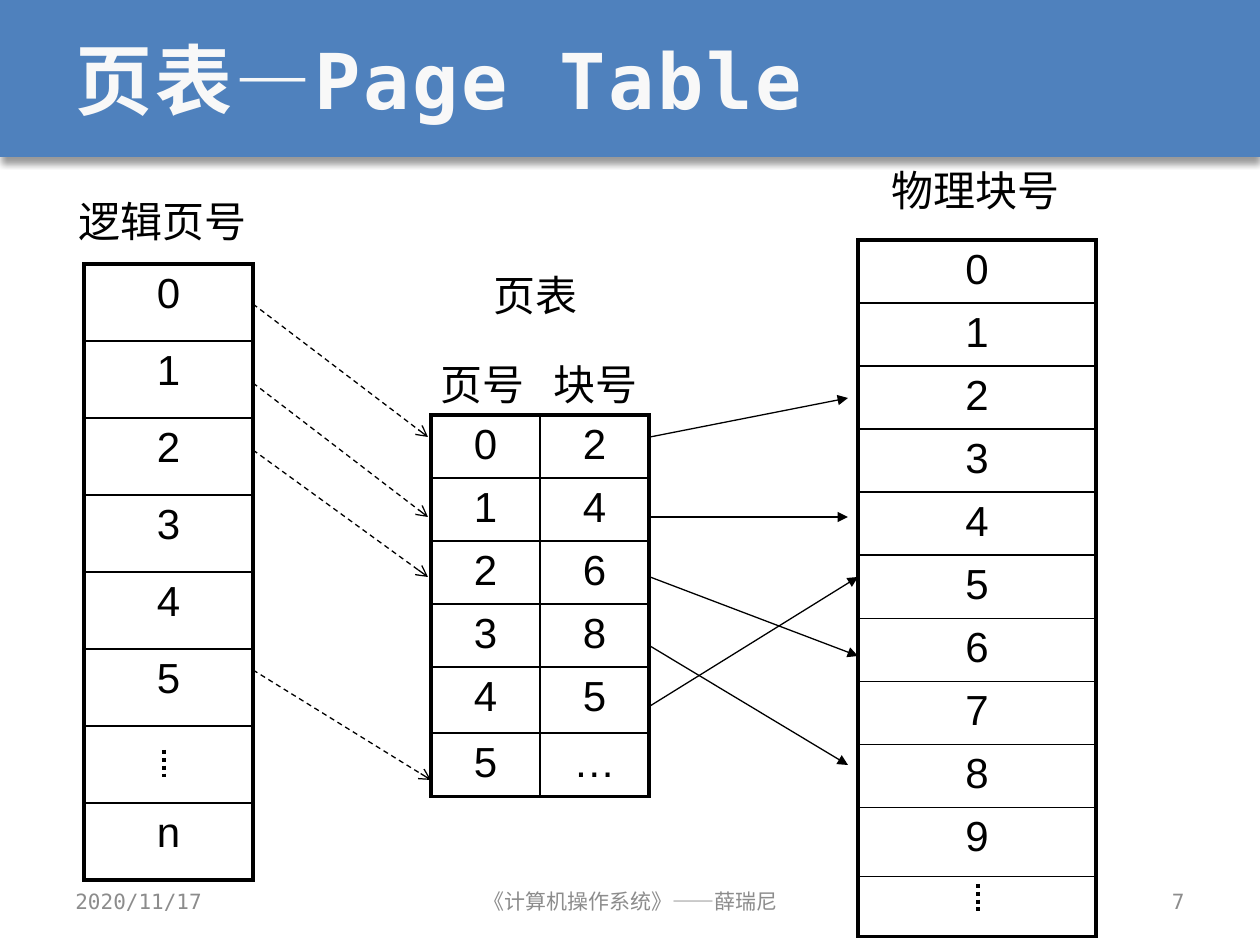
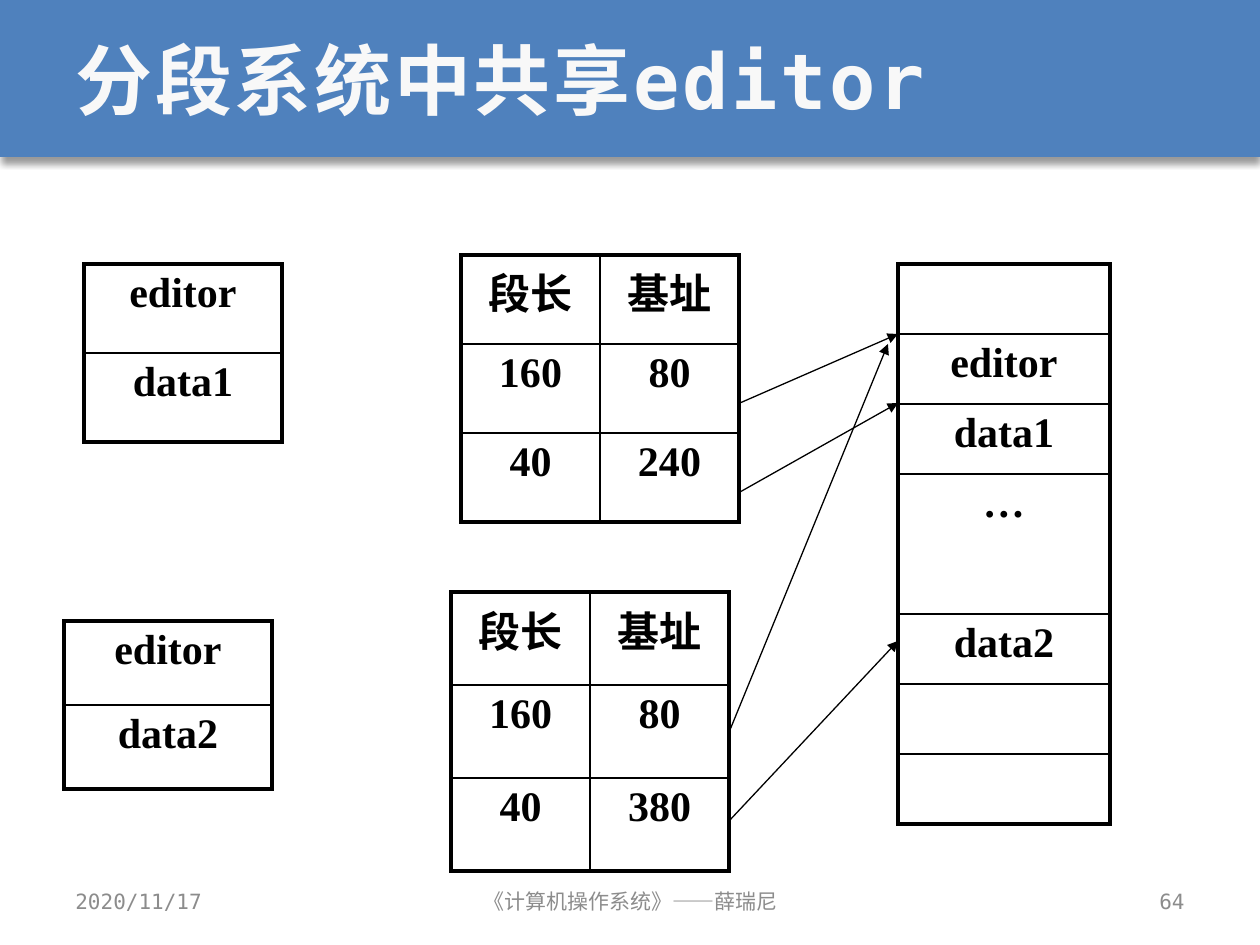
from pptx import Presentation, util as u
from pptx.dml.color import RGBColor
from pptx.enum import dml, shapes, text
from pptx.oxml import ns, xmlchemy

PX = 914400 / 126  # EMU per pixel
BLUE = RGBColor(0x4F, 0x81, 0xBD)
OFF_WHITE = RGBColor(0xF8, 0xF8, 0xF8)
GREY = RGBColor(0x8C, 0x8C, 0x8C)
BLACK = RGBColor(0, 0, 0)
MONO, CJK, SANS, SERIF = "DejaVu Sans Mono", "Noto Sans CJK SC", "Arial", "Times New Roman"
LEFT, CENTER, RIGHT = text.PP_ALIGN.LEFT, text.PP_ALIGN.CENTER, text.PP_ALIGN.RIGHT
THICK, THIN = 2.25, 1


def px(*lengths):
    return [round(length * PX) for length in lengths]


def add_xml(parent, tag, **attributes):
    child = xmlchemy.OxmlElement(tag)
    for name, value in attributes.items():
        child.set(name, str(value))
    parent.append(child)
    return child


class Deck:
    def __init__(self):
        self.prs = Presentation()
        self.prs.slide_width, self.prs.slide_height = px(1260, 945)

    def start_slide(self, title, number):
        self.slide = self.prs.slides.add_slide(self.prs.slide_layouts[5])
        self.shapes = self.slide.shapes
        self.band()
        heading = self.shapes.title
        heading.left, heading.top, heading.width, heading.height = px(63, 0, 1134, 157)
        heading.text_frame.vertical_anchor = text.MSO_ANCHOR.MIDDLE
        self.set_text(heading.text_frame, title, 44, MONO, OFF_WHITE, LEFT, True, spacing=150)
        self.footer(63, 294, "2020/11/17", LEFT)
        self.footer(431, 399, "《计算机操作系统》——薛瑞尼", CENTER)
        self.footer(903, 294, str(number), RIGHT)

    def band(self):
        """Blue title band with a soft shadow, placed behind the title."""
        band = self.shapes.add_shape(shapes.MSO_SHAPE.RECTANGLE, *px(0, 0, 1260, 157))
        band.fill.solid()
        band.fill.fore_color.rgb = BLUE
        band.line.fill.background()
        band.shadow.inherit = False
        effects = band._element.spPr.find(ns.qn("a:effectLst"))
        shadow = add_xml(effects, "a:outerShdw", blurRad=u.Pt(4), dist=u.Pt(3),
                         dir=5400000, rotWithShape=0)
        add_xml(add_xml(shadow, "a:srgbClr", val="000000"), "a:alpha", val=40000)
        band._element.getparent().insert(2, band._element)

    def set_text(self, frame, words, size, face, color, align, bold=False, spacing=0):
        frame.text = words
        paragraph = frame.paragraphs[0]
        paragraph.alignment = align
        font = paragraph.font
        font.size, font.name, font.bold = u.Pt(size), face, bold
        font.color.rgb = color
        add_xml(font._element, "a:ea", typeface=CJK)
        if spacing:
            font._element.set("spc", str(spacing))

    def footer(self, left, width, words, align):
        frame = self.shapes.add_textbox(*px(left, 876, width, 50)).text_frame
        frame.word_wrap = True
        frame.vertical_anchor = text.MSO_ANCHOR.MIDDLE
        self.set_text(frame, words, 12, MONO, GREY, align)

    def label(self, left, top, width, words):
        frame = self.shapes.add_textbox(*px(left, top, width, 63)).text_frame
        frame.word_wrap = False
        self.set_text(frame, words, 24, CJK, BLACK, LEFT)

    def grid(self, left, top, col_width, heights, rows, face=SANS, bold=False):
        """Table with a thick outer frame and thin inner rules."""
        n_rows, n_cols = len(rows), len(rows[0])
        table = self.shapes.add_table(
            n_rows, n_cols, *px(left, top, col_width * n_cols, sum(heights))).table
        table.first_row = table.horz_banding = False
        for column in table.columns:
            column.width = px(col_width)[0]
        for r, (height, row) in enumerate(zip(heights, rows)):
            table.rows[r].height = px(height)[0]
            for c, words in enumerate(row):
                cell = table.cell(r, c)
                outer = {"L": c == 0, "R": c == n_cols - 1, "T": r == 0, "B": r == n_rows - 1}
                self.borders(cell, outer)
                cell.fill.background()
                if words:
                    self.set_text(cell.text_frame, words, 24, face, BLACK, CENTER, bold)

    def borders(self, cell, outer):
        properties = cell._tc.get_or_add_tcPr()
        for side, is_outer in outer.items():
            line = add_xml(properties, f"a:ln{side}", w=u.Pt(THICK if is_outer else THIN))
            add_xml(add_xml(line, "a:solidFill"), "a:srgbClr", val=BLACK)

    def line(self, start, end, width=0.75, dash=None, head=None):
        line = self.shapes.add_connector(shapes.MSO_CONNECTOR.STRAIGHT, *px(*start, *end))
        line.line.color.rgb = BLACK
        line.line.width = u.Pt(width)
        if dash:
            line.line.dash_style = dash
        if head:
            add_xml(line.line._get_or_add_ln(), "a:tailEnd", type=head)
        add_xml(line._element.spPr, "a:effectLst")

    def arrows(self, ends, dash=None, head="triangle"):
        for start, end in ends:
            self.line(start, end, dash=dash, head=head)

    def vertical_dots(self, x, top):
        self.line((x, top), (x, top + 30), THICK, dml.MSO_LINE.ROUND_DOT)


def column(*words):
    return [[word] for word in words]


def page_table_slide(deck):
    deck.start_slide("页表—Page Table", 7)
    deck.grid(84, 264, 169, [77] * 8, column(*"012345", "", "n"))
    deck.grid(431, 415, 109, [59, 59, 60, 60, 66, 59], list(zip("012345", "24685…")))
    deck.grid(858, 240, 238, [59, 60, 59, 59, 60, 63, 60, 59, 63, 69, 60],
              column(*"0123456789", ""))
    deck.label(66, 189, 195, "逻辑页号")
    deck.label(481, 263, 110, "页表")
    deck.label(428, 352, 110, "页号")
    deck.label(541, 352, 110, "块号")
    deck.label(879, 158, 195, "物理块号")
    deck.vertical_dots(164, 750)
    deck.vertical_dots(978, 884)
    table_to_block = [((650, 437), (848, 398)), ((650, 517), (848, 517)),
                      ((650, 577), (858, 656)), ((650, 646), (848, 765)),
                      ((650, 706), (858, 577))]
    page_to_table = [((253, 304), (428, 437)), ((253, 383), (428, 517)),
                     ((253, 450), (428, 577)), ((253, 670), (431, 780))]
    deck.arrows(table_to_block)
    deck.arrows(page_to_table, dml.MSO_LINE.DASH, "arrow")


def shared_editor_slide(deck):
    deck.start_slide("分段系统中共享editor", 64)
    processes = [
        # program left, top, width, row; segment table left, top, row; data name, base
        (84, 264, 198, 89, 461, 255, 89, "data1", "240"),
        (64, 621, 208, 84, 451, 592, 93, "data2", "380"),
    ]
    for left, top, width, row, seg_left, seg_top, seg_row, data, base in processes:
        deck.grid(left, top, width, [row] * 2, column("editor", data), SERIF, True)
        segments = [("段长", "基址"), ("160", "80"), ("40", base)]
        deck.grid(seg_left, seg_top, 139, [seg_row] * 3, segments, SERIF, True)
    deck.grid(898, 264, 212, [70, 70, 70, 140, 70, 70, 70],
              column("", "editor", "data1", "…", "data2", "", ""), SERIF, True)
    deck.arrows([((740, 403), (898, 334)), ((740, 492), (898, 403)),
                 ((730, 730), (888, 344)), ((730, 820), (898, 641))])


def main():
    deck = Deck()
    page_table_slide(deck)
    shared_editor_slide(deck)
    deck.prs.save("out.pptx")


if __name__ == "__main__":
    main()
